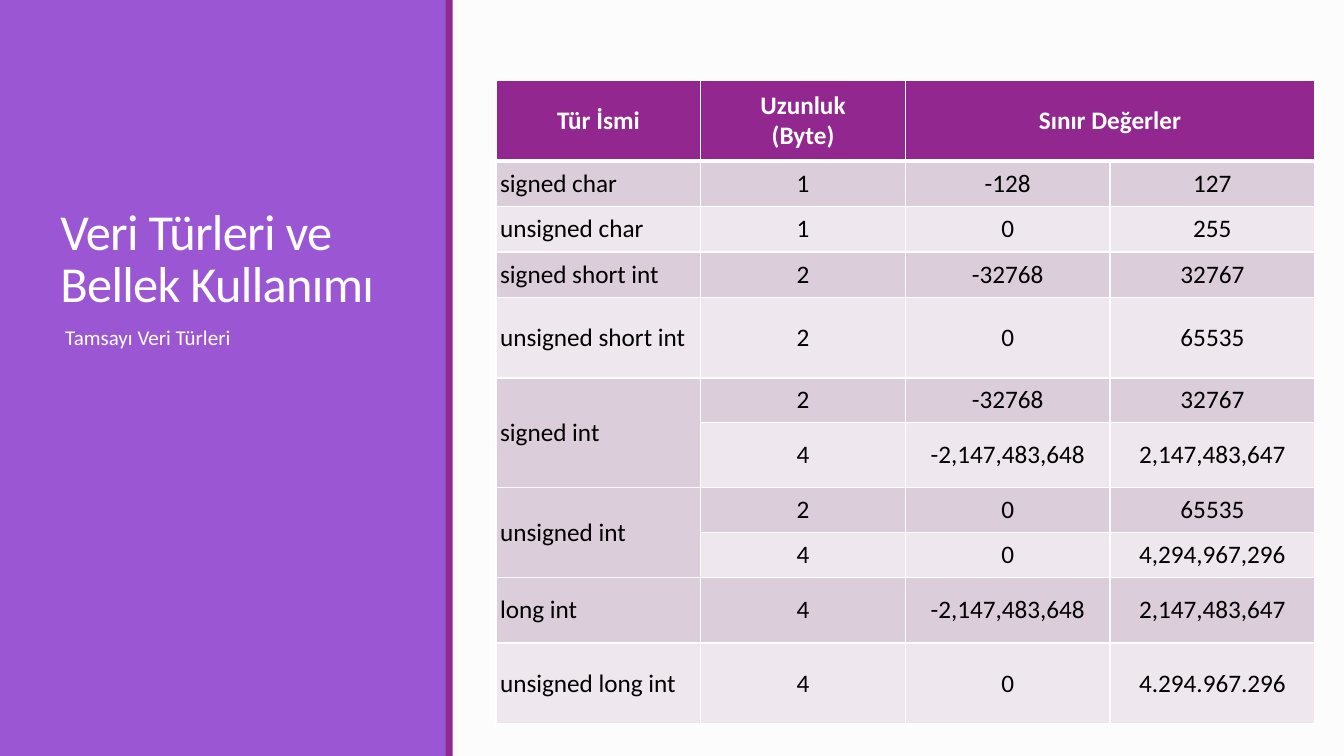
from dataclasses import dataclass

from lxml.etree import SubElement
from pptx import Presentation
from pptx.dml.color import RGBColor
from pptx.enum.shapes import MSO_SHAPE
from pptx.enum.text import MSO_ANCHOR as Anchor, MSO_AUTO_SIZE as AutoSize, PP_ALIGN as Align
from pptx.oxml.ns import qn
from pptx.util import Inches, Pt


@dataclass(frozen=True)
class Theme:
    font: str = "Calibri"
    background: str = "FCFCFC"
    panel: str = "9B57D3"
    accent: str = "92278F"
    dark_band: str = "DCCDDB"
    light_band: str = "EEE8EE"
    white: str = "FFFFFF"
    black: str = "000000"
    title_size: int = 36
    subtitle_size: int = 15
    table_size: int = 18
    border: int = 1
    header_border: int = 3


THEME = Theme()
CAPTION_LAYOUT = 7
COLUMN_WIDTH = 2.03
ROW_HEIGHTS = [0.8, 0.45, 0.45, 0.45, 0.8, 0.44, 0.65, 0.44, 0.45, 0.65, 0.8]
# An empty text marks a cell covered by the merged cell to its left or above it.
INTEGER_TYPES = [
    ("Tür İsmi", "Uzunluk\n(Byte)", "Sınır Değerler", ""),
    ("signed char", "1", "-128", "127"),
    ("unsigned char", "1", "0", "255"),
    ("signed short int", "2", "-32768", "32767"),
    ("unsigned short int", "2", "0", "65535"),
    ("signed int", "2", "-32768", "32767"),
    ("", "4", "-2,147,483,648", "2,147,483,647"),
    ("unsigned int", "2", "0", "65535"),
    ("", "4", "0", "4,294,967,296"),
    ("long int", "4", "-2,147,483,648", "2,147,483,647"),
    ("unsigned long int", "4", "0", "4.294.967.296"),
]


def rgb(color):
    return RGBColor.from_string(color)


def write_text(frame, text, *, size, color, bold=False, align=Align.LEFT,
               line_spacing=1.0, before=0, after=0, tracking=0):
    """Fill the frame with one paragraph; tracking is in points."""
    paragraph = frame.paragraphs[0]
    paragraph.text = text
    paragraph.alignment = align
    paragraph.line_spacing = line_spacing
    paragraph.space_before, paragraph.space_after = Pt(before), Pt(after)
    for run in paragraph.runs:
        font = run.font
        font.name, font.size, font.bold = THEME.font, Pt(size), bold
        font.color.rgb = rgb(color)
        if tracking:
            font._element.set("spc", str(round(tracking * 100)))


def add_bar(slide, left, width, color, depth):
    """Add a full-height bar at the given depth, counted from the back."""
    bar = slide.shapes.add_shape(
        MSO_SHAPE.RECTANGLE, Inches(left), 0, Inches(width), Inches(7.5))
    bar.shadow.inherit = False
    bar.fill.solid()
    bar.fill.fore_color.rgb = rgb(color)
    bar.line.fill.background()
    tree = slide.shapes._spTree
    tree.insert(2 + depth, bar._element)


def place_text(placeholder, text, top, height, anchor, **text_format):
    placeholder.left, placeholder.top = Inches(0.5), Inches(top)
    placeholder.width, placeholder.height = Inches(3.5), Inches(height)
    frame = placeholder.text_frame
    frame.word_wrap = True
    frame.auto_size = AutoSize.NONE
    frame.vertical_anchor = anchor
    write_text(frame, text, color=THEME.white, **text_format)


def set_borders(cell, **widths):
    properties = cell._tc.get_or_add_tcPr()
    for index, side in enumerate("LRTB"):
        width = widths.get(side, THEME.border)
        line = SubElement(properties, qn(f"a:ln{side}"), w=str(Pt(width)))
        fill = SubElement(line, qn("a:solidFill"))
        SubElement(fill, qn("a:srgbClr"), val=THEME.white)
        properties.insert(index, line)


def format_cell(cell, text, row, column):
    header = row == 0
    band = THEME.dark_band if row % 2 else THEME.light_band
    cell.fill.solid()
    cell.fill.fore_color.rgb = rgb(THEME.accent if header else band)
    cell.vertical_anchor = Anchor.MIDDLE
    cell.margin_left = cell.margin_right = Inches(0.04)
    cell.margin_top = cell.margin_bottom = Inches(0.03)
    heavy_side = {0: "B", 1: "T"}.get(row)
    set_borders(cell, **({heavy_side: THEME.header_border} if heavy_side else {}))
    if text:
        write_text(cell.text_frame, text, size=THEME.table_size, bold=header,
                   color=THEME.white if header else THEME.black,
                   align=Align.CENTER if header or column else Align.LEFT)


def add_type_table(slide):
    columns = len(INTEGER_TYPES[0])
    table = slide.shapes.add_table(
        len(INTEGER_TYPES), columns, Inches(4.92), Inches(0.8),
        Inches(COLUMN_WIDTH * columns), Inches(sum(ROW_HEIGHTS))).table
    for column in table.columns:
        column.width = Inches(COLUMN_WIDTH)
    for row, (height, texts) in enumerate(zip(ROW_HEIGHTS, INTEGER_TYPES)):
        table.rows[row].height = Inches(height)
        for column, text in enumerate(texts):
            cell = table.cell(row, column)
            format_cell(cell, text, row, column)
            if not text:
                start = table.cell(row - 1, column) if row else table.cell(row, column - 1)
                start.merge(cell)


def main():
    presentation = Presentation()
    presentation.slide_width, presentation.slide_height = Inches(13.33), Inches(7.5)
    slide = presentation.slides.add_slide(presentation.slide_layouts[CAPTION_LAYOUT])
    slide.background.fill.solid()
    slide.background.fill.fore_color.rgb = rgb(THEME.background)

    title, content, subtitle = slide.placeholders
    content._element.getparent().remove(content._element)
    add_bar(slide, 0, 4.43, THEME.panel, depth=0)
    add_bar(slide, 4.42, 0.07, THEME.accent, depth=1)
    place_text(title, "Veri Türleri ve Bellek Kullanımı", 0.65, 2.5, Anchor.BOTTOM,
               size=THEME.title_size, line_spacing=0.85, tracking=-0.5)
    place_text(subtitle, " Tamsayı Veri Türleri", 3.2, 3.7, Anchor.TOP,
               size=THEME.subtitle_size, line_spacing=0.9, before=12, after=2)
    add_type_table(slide)
    presentation.save("out.pptx")


if __name__ == "__main__":
    main()
